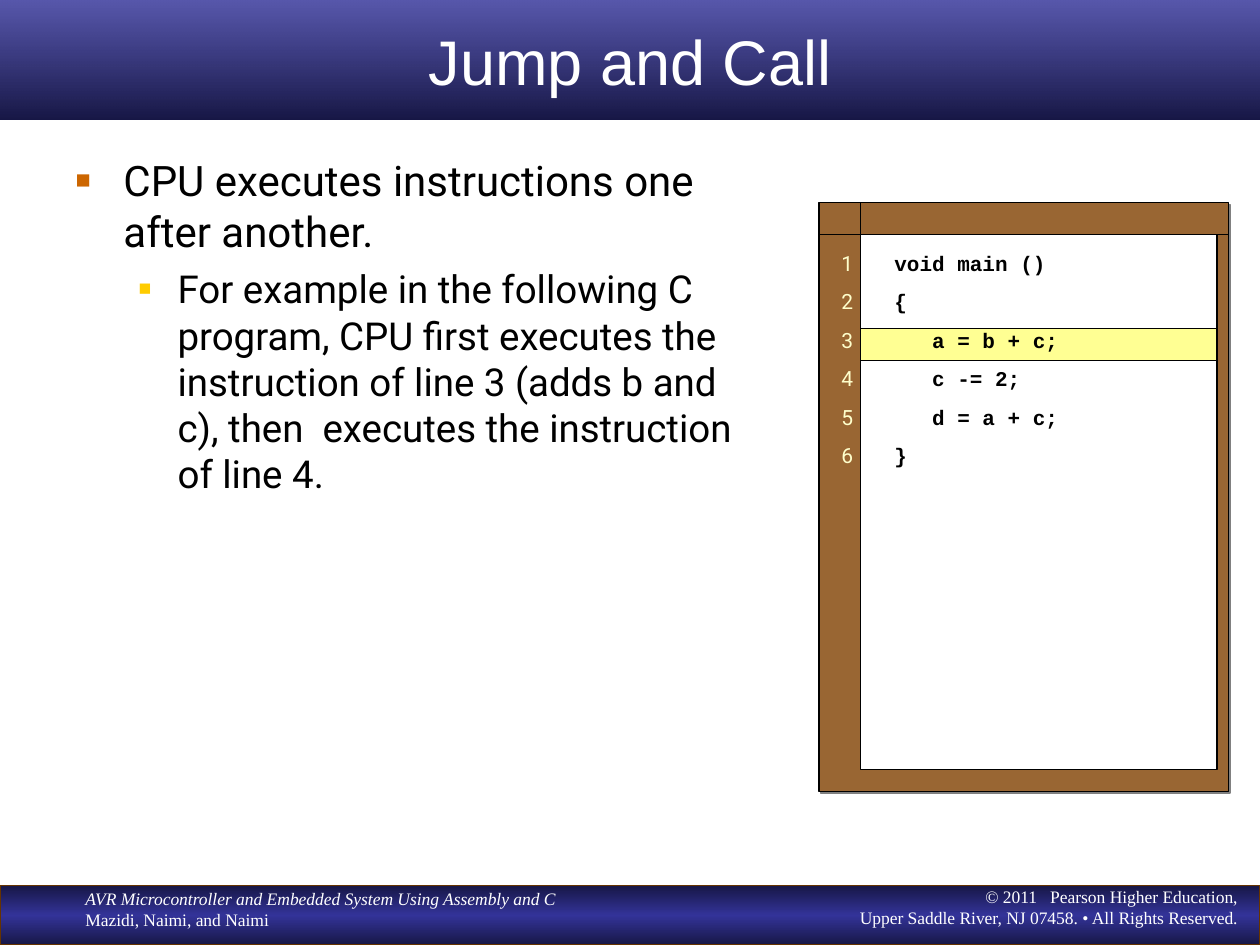
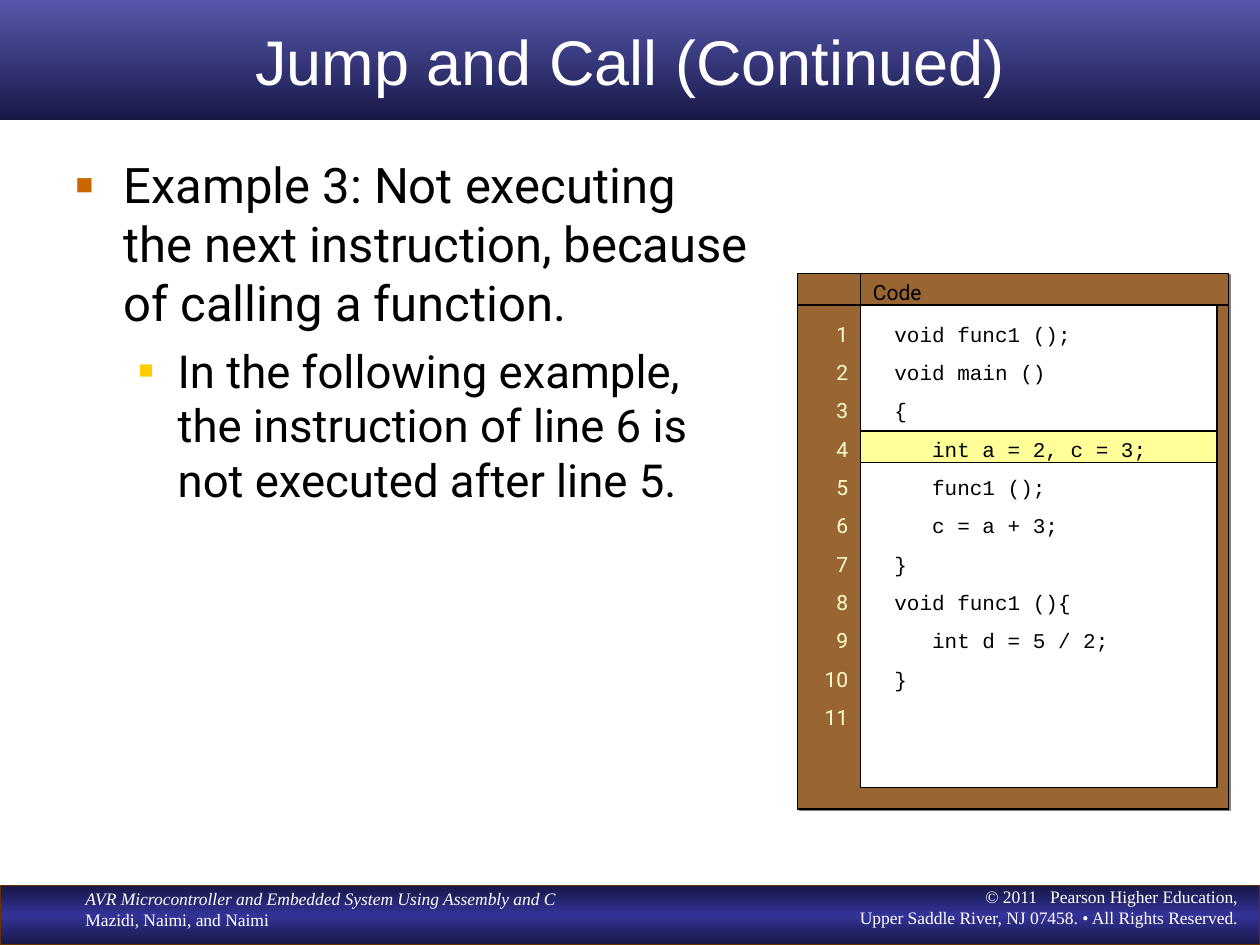
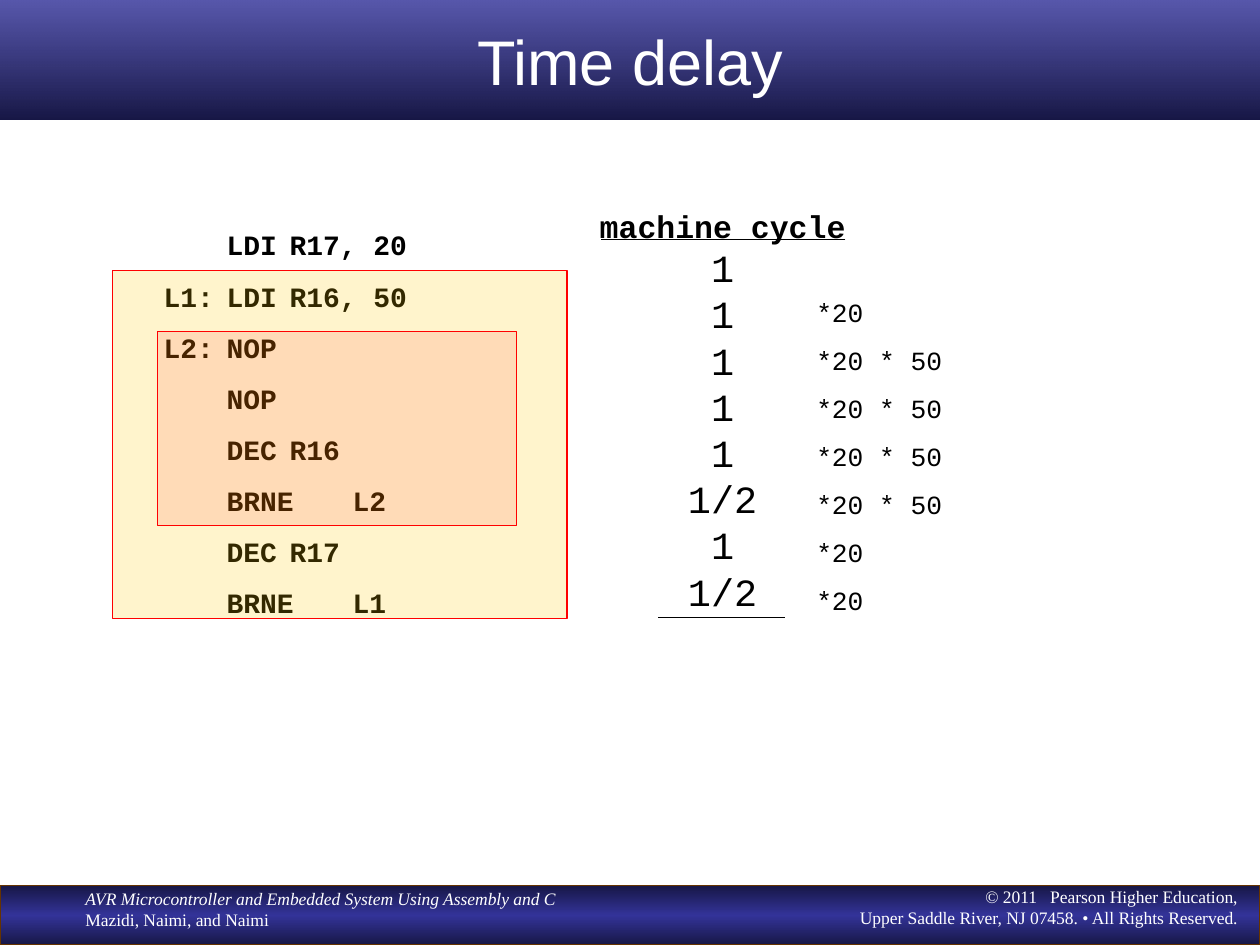
from pptx import Presentation
from pptx.dml.color import RGBColor
from pptx.enum.shapes import MSO_CONNECTOR, MSO_SHAPE
from pptx.enum.text import MSO_ANCHOR, MSO_AUTO_SIZE, PP_ALIGN
from pptx.oxml import parse_xml
from pptx.oxml.ns import nsdecls, qn
from pptx.util import Inches, Pt

WHITE = RGBColor(0xFF, 0xFF, 0xFF)
BLACK = RGBColor(0, 0, 0)
NAVY = RGBColor(0x17, 0x17, 0x46)
INDIGO = RGBColor(0x33, 0x33, 0x99)
DARK_BROWN = RGBColor(0x66, 0x33, 0x00)
BROWN = RGBColor(0x99, 0x66, 0x33)
GRAY = RGBColor(0x80, 0x80, 0x80)
CREAM = RGBColor(0xFF, 0xFF, 0xCC)
PALE_YELLOW = RGBColor(0xFF, 0xFF, 0x93)
LIGHT_YELLOW = RGBColor(0xFF, 0xFF, 0x99)
ORANGE = RGBColor(0xCC, 0x66, 0x00)
GOLD = RGBColor(0xFF, 0xCC, 0x00)
RED = RGBColor(0xFF, 0x00, 0x00)

TITLE_FONT = "Arial"
BODY_FONT = "Roboto"
CODE_FONT = "Courier New"
FOOTER_FONT = "Times New Roman"

GUTTER_RIGHT = 6.83
PANEL_RIGHT = 9.75
PAPER_WIDTH = 2.83
HEADER_HEIGHT = 0.25
ROW_HEIGHT = 0.304
BULLETS = [(0.38, -0.38, ORANGE, 60), (0.81, -0.31, GOLD, 55)]


def format_paragraph(para, font, size, color, bold=False, italic=False,
                     align=PP_ALIGN.LEFT, before=0):
    """Set the alignment, spacing and run fonts of a paragraph."""
    para.alignment = align
    para.space_before = Pt(before)
    for span in para.runs:
        span.font.name = font
        span.font.size = Pt(size)
        span.font.bold = bold
        span.font.italic = italic
        span.font.color.rgb = color


def add_text(page, at, lines, font, size, color, before=0, **style):
    """Add a text box with one paragraph for each line."""
    box = page.shapes.add_textbox(*map(Inches, at))
    frame = box.text_frame
    frame.word_wrap = True
    for index, line in enumerate(lines):
        para = frame.add_paragraph() if index else frame.paragraphs[0]
        para.text = line
        format_paragraph(para, font, size, color,
                         before=before if index else 0, **style)
    return box


def add_rectangle(page, at, fill, line=BLACK, opacity=100):
    """Add a thinly outlined rectangle with an optional see-through fill."""
    shape = page.shapes.add_shape(MSO_SHAPE.RECTANGLE, *map(Inches, at))
    shape.shadow.inherit = False
    shape.fill.solid()
    shape.fill.fore_color.rgb = fill
    shape.line.color.rgb = line
    shape.line.width = Pt(0.75)
    if opacity < 100:
        color = shape.element.spPr.find(f"{qn('a:solidFill')}/{qn('a:srgbClr')}")
        color.append(parse_xml(f'<a:alpha {nsdecls("a")} val="{opacity * 1000}"/>'))
    return shape


def add_line(page, start, end):
    """Add a thin black straight line."""
    line = page.shapes.add_connector(MSO_CONNECTOR.STRAIGHT,
                                     *map(Inches, start + end))
    line.line.color.rgb = BLACK
    line.line.width = Pt(0.75)
    line.element.spPr.append(parse_xml(f'<a:effectLst {nsdecls("a")}/>'))


def fill_gradient(shape, stops):
    """Fill a shape from top to bottom with (position, colour, opacity) stops."""
    shape.fill.gradient()
    shape.fill.gradient_angle = 270
    stop_list = shape.element.spPr.find(f".//{qn('a:gsLst')}")
    for stop in list(stop_list):
        stop_list.remove(stop)
    for position, color, opacity in stops:
        stop_list.append(parse_xml(
            f'<a:gs {nsdecls("a")} pos="{position * 1000}"><a:srgbClr val="{color}">'
            f'<a:alpha val="{opacity * 1000}"/></a:srgbClr></a:gs>'))


def add_drop_shadow(shape):
    """Give a shape a small hard shadow to the lower right."""
    shape.element.spPr.find(qn("a:effectLst")).append(parse_xml(
        f'<a:outerShdw {nsdecls("a")} dist="{Pt(1.4)}" dir="2700000" algn="ctr" '
        f'rotWithShape="0"><a:srgbClr val="{GRAY}"/></a:outerShdw>'))


def place(shape, at):
    """Move and size a shape."""
    shape.left, shape.top, shape.width, shape.height = map(Inches, at)


def add_page(deck, layout, title):
    """Add a slide with its title band."""
    page = deck.slides.add_slide(deck.slide_layouts.get_by_name(layout))
    band = page.shapes.title
    place(band, (0, 0, 10, 0.95))
    fill_gradient(band, [(0, INDIGO, 82), (100, NAVY, 100)])
    frame = band.text_frame
    frame.text = title
    frame.auto_size = MSO_AUTO_SIZE.NONE
    frame.vertical_anchor = MSO_ANCHOR.MIDDLE
    format_paragraph(frame.paragraphs[0], TITLE_FONT, 36, WHITE,
                     align=PP_ALIGN.CENTER)
    return page


def add_footer(deck, page):
    """Build the footer band and move it to the slide master."""
    band = add_rectangle(page, (0, 7.03, 10, 0.47), NAVY, DARK_BROWN)
    fill_gradient(band, [(0, NAVY, 100), (50, INDIGO, 100), (100, NAVY, 100)])
    book = add_text(page, (0.58, 7, 4.14, 0.44),
                    ["AVR Microcontroller and Embedded System Using Assembly and C",
                     "Mazidi, Naimi, and Naimi"], FOOTER_FONT, 10, WHITE)
    book.text_frame.paragraphs[0].runs[0].font.italic = True
    rights = add_text(page, (5.75, 6.98, 4.17, 0.44),
                      ["© 2011   Pearson Higher Education,\n"
                       "Upper Saddle River, NJ 07458. • All Rights Reserved."],
                      FOOTER_FONT, 10, WHITE, align=PP_ALIGN.RIGHT)
    for shape in (band, book, rights):
        deck.slide_master.shapes.element.append(shape.element)


def fill_body(page, height, items):
    """Fill the body placeholder with one (text, size, space before) per level."""
    body = page.placeholders[1]
    place(body, (0.5, 1.18, 5.6, height))
    frame = body.text_frame
    frame.auto_size = MSO_AUTO_SIZE.NONE
    for level, (text, size, before) in enumerate(items):
        para = frame.add_paragraph() if level else frame.paragraphs[0]
        para.text = text
        para.level = level
        margin, indent, color, percent = BULLETS[level]
        properties = para._p.get_or_add_pPr()
        properties.set("marL", str(Inches(margin)))
        properties.set("indent", str(Inches(indent)))
        for tag in (f'<a:buClr {nsdecls("a")}><a:srgbClr val="{color}"/></a:buClr>',
                    f'<a:buSzPct {nsdecls("a")} val="{percent * 1000}"/>',
                    f'<a:buFont {nsdecls("a")} typeface="{TITLE_FONT}"/>',
                    f'<a:buChar {nsdecls("a")} char="■"/>'):
            properties.append(parse_xml(tag))
        format_paragraph(para, BODY_FONT, size, BLACK, before=before)


def add_code_panel(page, left, top, height, numbers_at, line_count, code,
                   current, highlight, bold=False):
    """Add a code listing with line numbers and the current line marked."""
    paper_top = top + HEADER_HEIGHT
    text_top = top + 0.33
    panel = add_rectangle(page, (left, top, PANEL_RIGHT - left, height), BROWN)
    add_drop_shadow(panel)
    add_text(page, (left + 0.08, text_top, numbers_at, ROW_HEIGHT * line_count),
             [str(number + 1) for number in range(line_count)],
             BODY_FONT, 12, CREAM, before=7.5, align=PP_ALIGN.RIGHT)
    add_rectangle(page, (GUTTER_RIGHT, paper_top, PAPER_WIDTH, height - 0.42), WHITE)
    add_rectangle(page, (GUTTER_RIGHT, paper_top + 0.25 * current, PAPER_WIDTH, 0.25),
                  highlight)
    add_text(page, (7, text_top, 2.5, ROW_HEIGHT * len(code)), code,
             CODE_FONT, 12, BLACK, before=7.5, bold=bold)
    add_line(page, (GUTTER_RIGHT, paper_top), (GUTTER_RIGHT, top))
    add_line(page, (left, paper_top), (PANEL_RIGHT, paper_top))


def build_jump(deck):
    """Build the slide on sequential execution."""
    page = add_page(deck, "Title and Content", "Jump and Call")
    add_footer(deck, page)
    fill_body(page, 5.61, [
        ("CPU executes instructions one after another.", 24, 0),
        ("For example in the following C program, CPU first executes the "
         "instruction of line 3 (adds b and c), then  executes the instruction "
         "of line 4.", 22, 5.5)])
    code = ["void main ()", "{", "   a = b + c;", "   c -= 2;", "   d = a + c;", "}"]
    add_code_panel(page, 6.5, 1.61, 4.67, 0.25, 6, code, 3, PALE_YELLOW, bold=True)


def build_call(deck):
    """Build the slide on calling a function."""
    page = add_page(deck, "Title and Content", "Jump and Call (Continued)")
    fill_body(page, 5.89, [
        ("Example 3: Not executing the next instruction, because of calling a "
         "function.", 28, 0),
        ("In the following example, the instruction of line 6 is not executed "
         "after line 5.", 26, 6.5)])
    code = ["void func1 ();", "void main ()", "{", "   int a = 2, c = 3;",
            "   func1 ();", "   c = a + 3;", "}", "void func1 (){",
            "   int d = 5 / 2;", "}"]
    add_code_panel(page, 6.33, 2.17, 4.25, 0.42, 11, code, 4, LIGHT_YELLOW)
    add_text(page, (GUTTER_RIGHT, 2.17, 1.58, 0.3), ["Code"], BODY_FONT, 12, BLACK)


def build_delay(deck):
    """Build the slide that counts machine cycles of nested loops."""
    page = add_page(deck, "Title Only", "Time delay")
    add_text(page, (1.2, 1.76, 3.61, 3.21),
             ["\tLDI\tR17, 20", "L1:\tLDI\tR16, 50", "L2:\tNOP", "\tNOP",
              "\tDEC\tR16", "\tBRNE\tL2", "\tDEC\tR17", "\tBRNE\tL1"],
             CODE_FONT, 16, BLACK, before=10, bold=True)
    cycles = add_text(page, (4.23, 1.59, 3.01, 3.7),
                      ["machine cycle", *["1"] * 5, "1/2", "1", "1/2"],
                      CODE_FONT, 22, BLACK, align=PP_ALIGN.CENTER)
    format_paragraph(cycles.text_frame.paragraphs[0], CODE_FONT, 18, BLACK,
                     bold=True, align=PP_ALIGN.CENTER)
    add_line(page, (6.71, 1.9), (4.77, 1.9))
    add_line(page, (6.23, 4.9), (5.22, 4.9))
    add_text(page, (6.38, 2.3, 1.32, 2.63),
             ["*20", *["*20 * 50"] * 4, "*20", "*20"],
             CODE_FONT, 15, BLACK, before=9.4)
    add_rectangle(page, (0.89, 2.15, 3.61, 2.76), GOLD, RED, opacity=20)
    add_rectangle(page, (1.25, 2.63, 2.85, 1.54), RED, RED, opacity=10)


def main():
    """Build and save the deck."""
    deck = Presentation()
    deck.slide_width = Inches(10)
    deck.slide_height = Inches(7.5)
    build_jump(deck)
    build_call(deck)
    build_delay(deck)
    deck.save("out.pptx")


if __name__ == "__main__":
    main()
